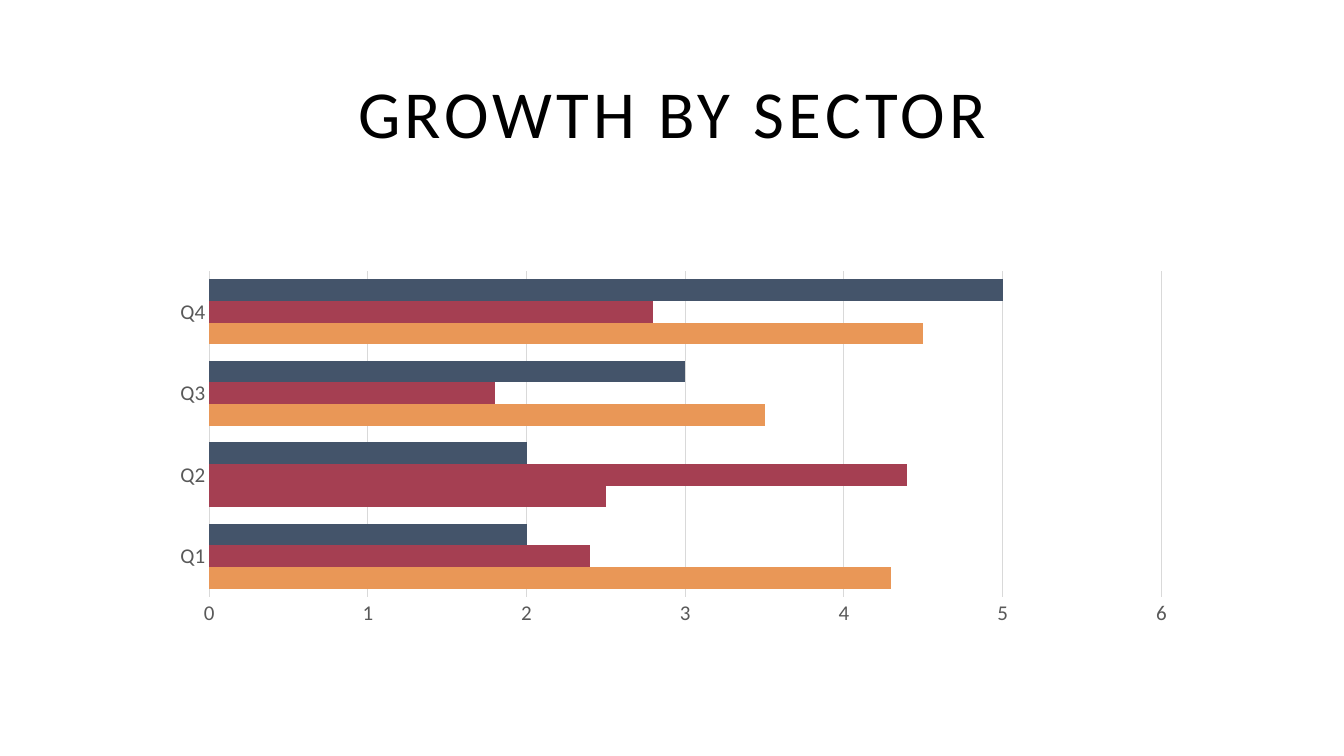
from lxml import etree
from pptx import Presentation
from pptx.chart.data import CategoryChartData
from pptx.dml.color import RGBColor
from pptx.enum.chart import XL_CHART_TYPE, XL_TICK_MARK
from pptx.enum.text import MSO_ANCHOR, PP_ALIGN
from pptx.oxml.ns import qn
from pptx.util import Emu, Pt

BAR = XL_CHART_TYPE.BAR_CLUSTERED
NO_TICK = XL_TICK_MARK.NONE
MIDDLE = MSO_ANCHOR.MIDDLE
CENTER = PP_ALIGN.CENTER

BLACK = RGBColor(0x00, 0x00, 0x00)
GRAY = RGBColor(0x59, 0x59, 0x59)
PALE = RGBColor(0xD9, 0xD9, 0xD9)
ORANGE = RGBColor(0xE9, 0x97, 0x57)
RED = RGBColor(0xA5, 0x3F, 0x52)
NAVY = RGBColor(0x44, 0x54, 0x6A)

WIDTH, HEIGHT = 1344, 756
SCALE = 12192000 / WIDTH

QUARTERS = ["Q1", "Q2", "Q3", "Q4"]
SECTORS = [
    ("Sector 1", (4.3, 2.5, 3.5, 4.5), ORANGE),
    ("Sector 2", (2.4, 4.4, 1.8, 2.8), RED),
    ("Sector 3", (2, 2, 3, 5), NAVY),
]
PLOT = {"x": 0.118, "y": 0.095, "w": 0.785, "h": 0.686}


def px(count):
    """Turn pixels into EMU."""
    return Emu(round(count * SCALE))


def apply(target, values):
    """Set each named attribute of the target."""
    for name, value in values.items():
        setattr(target, name, value)


class Deck:
    """Hold the style and the current slide."""

    def __init__(self, font):
        """Open a deck with one title-only slide."""
        self.font = font
        self.show = Presentation()
        apply(self.show, {"slide_width": px(WIDTH), "slide_height": px(HEIGHT)})
        self.slide = self.show.slides.add_slide(self.show.slide_layouts[5])

    def style(self, font, size, color):
        """Format a font."""
        apply(font, {"name": self.font, "size": Pt(size), "bold": False})
        font.color.rgb = color

    def line(self, form, color):
        """Format a thin chart line."""
        form.line.color.rgb = color
        form.line.width = Pt(0.75)

    def title(self, text, box, size, space):
        """Place the title with letter spacing in points."""
        shape = self.slide.shapes.title
        apply(shape, dict(zip(("left", "top", "width", "height"), map(px, box))))
        frame = shape.text_frame
        apply(frame, {"text": text, "vertical_anchor": MIDDLE, "word_wrap": True})
        para = frame.paragraphs[0]
        para.alignment = CENTER
        run = para.runs[0]
        self.style(run.font, size, BLACK)
        run.font._element.set("spc", str(space * 100))

    def bars(self, names, rows, box, size):
        """Add a clustered bar chart."""
        data = CategoryChartData()
        data.categories = names
        for name, values, _ in rows:
            data.add_series(name, values)
        chart = self.slide.shapes.add_chart(BAR, *map(px, box), data).chart
        apply(chart, {"has_legend": False, "has_title": False})
        self.style(chart.font, size, BLACK)
        plot = chart.plots[0]
        apply(plot, {"gap_width": 75, "overlap": 0, "vary_by_categories": False})
        for series, (_, _, color) in zip(plot.series, rows):
            self.fill(series, color)
        self.axes(chart, size)
        self.layout(chart)
        return plot

    def fill(self, part, color):
        """Fill a series or a point."""
        part.format.fill.solid()
        part.format.fill.fore_color.rgb = color

    def axes(self, chart, size):
        """Format both axes and the grid."""
        cat, val = chart.category_axis, chart.value_axis
        for axis in (cat, val):
            apply(axis, {"major_tick_mark": NO_TICK, "minor_tick_mark": NO_TICK})
            self.style(axis.tick_labels.font, size, GRAY)
        cat.has_major_gridlines = False
        self.line(cat.format, PALE)
        apply(val, {"minimum_scale": 0, "maximum_scale": 6, "major_unit": 1,
                    "has_major_gridlines": True})
        val.format.line.fill.background()
        self.line(val.major_gridlines.format, PALE)
        apply(val.tick_labels, {"number_format": "General",
                                "number_format_is_linked": False})

    def layout(self, chart):
        """Fix the inner plot area as shares of the chart."""
        area = chart._chartSpace.find(".//" + qn("c:plotArea"))
        for old in area.findall(qn("c:layout")):
            area.remove(old)
        node = etree.Element(qn("c:layout"))
        area.insert(0, node)
        inner = etree.SubElement(node, qn("c:manualLayout"))
        parts = {"layoutTarget": "inner", "xMode": "edge", "yMode": "edge", **PLOT}
        for name, value in parts.items():
            etree.SubElement(inner, qn("c:" + name)).set("val", str(value))


def main():
    """Build and save the slide."""
    deck = Deck("Calibri")
    deck.title("GROWTH BY SECTOR", (66, 15, 1213, 193), 48, 3)
    plot = deck.bars(QUARTERS, SECTORS, (66, 226, 1213, 475), 15)
    deck.fill(plot.series[0].points[1], RED)
    deck.show.save("out.pptx")


if __name__ == "__main__":
    main()
